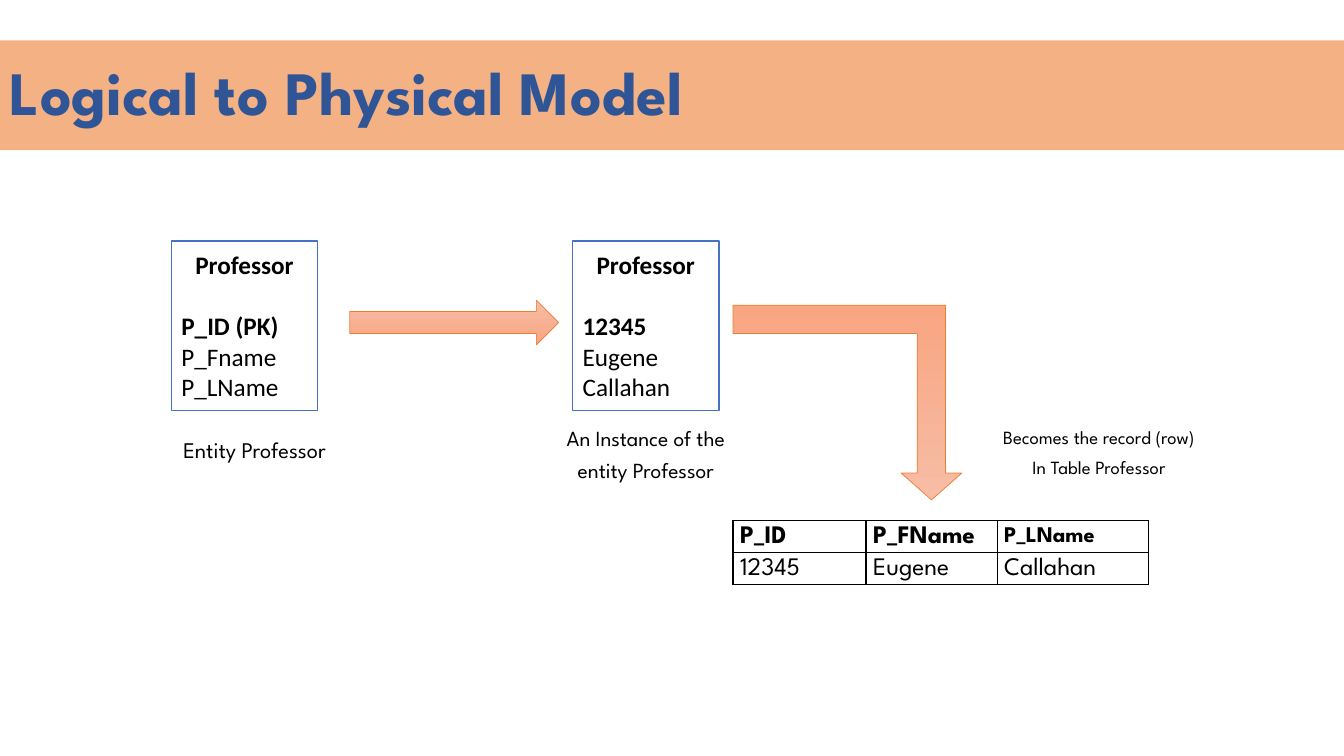
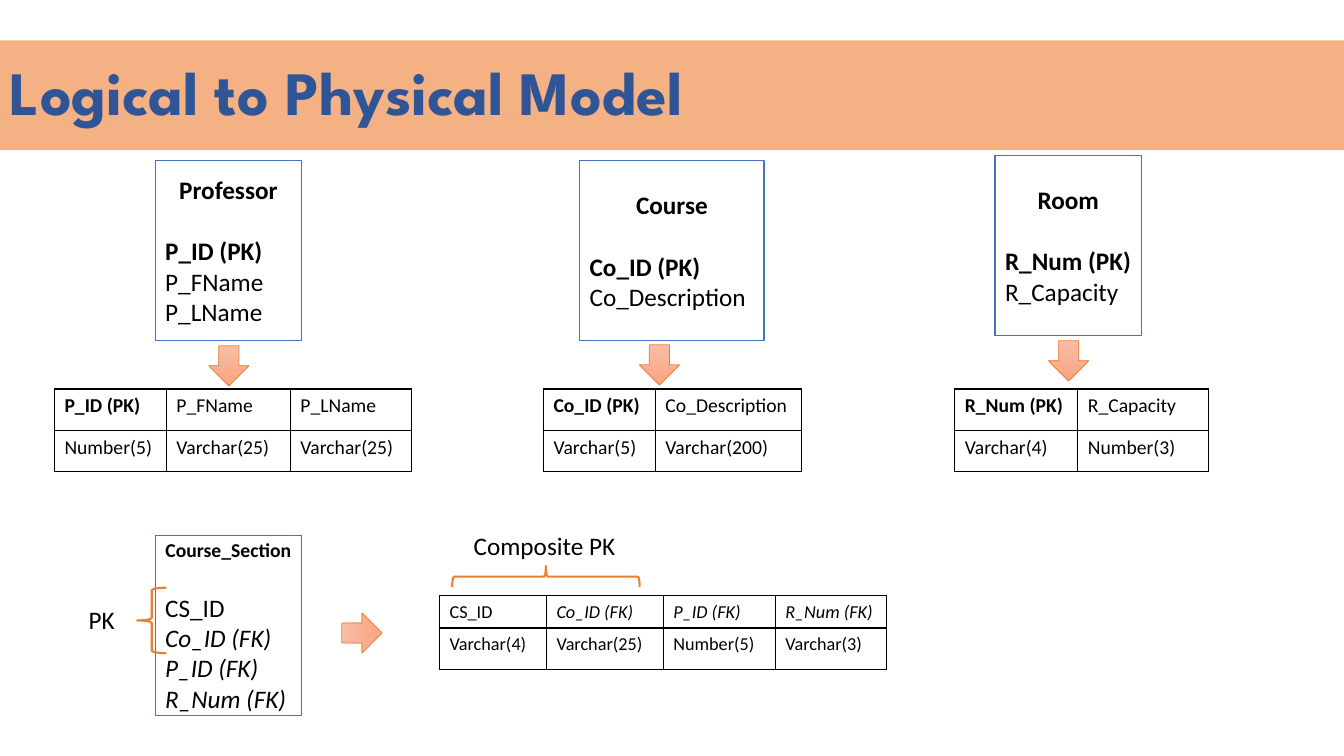
"""Build two slides that map a logical model to a physical one."""
from lxml import etree
from pptx import Presentation
from pptx.dml.color import RGBColor
from pptx.enum import shapes, text
from pptx.oxml.ns import qn
from pptx.util import Inches, Pt

HUES = {"band": "F4B183", "title": "2F5597", "ink": "000000", "paper": "FFFFFF",
        "edge": "4472C4", "rim": "ED7D31", "light": "F7BDA5", "deep": "F8A582"}
SPARTAN, PLAIN = "League Spartan", "Calibri"
FORM = shapes.MSO_SHAPE
LEFT, CENTER = text.PP_ALIGN.LEFT, text.PP_ALIGN.CENTER
MIDDLE = text.MSO_ANCHOR.MIDDLE


def write(frame, lines, font, size, align=LEFT, pitch=None, gap=0, hue="ink"):
    """Fill a frame; a leading * marks a bold line and a leading / an italic one."""
    frame.word_wrap = True
    frame.text = "\n".join(line.lstrip("*/") for line in lines)
    for spot, (par, line) in enumerate(zip(frame.paragraphs, lines)):
        par.alignment = align
        par.line_spacing = pitch
        if spot and gap:
            par.space_before = Pt(gap)
        face = par.runs[0].font
        face.name, face.size = font, Pt(size)
        face.bold, face.italic = line.startswith("*"), line.startswith("/")
        face.color.rgb = RGBColor.from_string(HUES[hue])


def draw(slide, kind, box, fill=None, line=None, width=1):
    """Add a preset shape with a plain fill, a line, or neither."""
    shape = slide.shapes.add_shape(kind, *map(Inches, box))
    shape.shadow.inherit = False
    if fill:
        shape.fill.solid()
        shape.fill.fore_color.rgb = RGBColor.from_string(HUES[fill])
    else:
        shape.fill.background()
    if line:
        shape.line.color.rgb = RGBColor.from_string(HUES[line])
        shape.line.width = Pt(width)
    else:
        shape.line.fill.background()
    return shape


deck = Presentation()
deck.slide_width, deck.slide_height = Inches(13.33), Inches(7.5)
slides = [deck.slides.add_slide(deck.slide_layouts[6]) for _ in range(2)]
first, second = slides

for slide in slides:
    band = draw(slide, FORM.RECTANGLE, (0, 0.4, 13.33, 1.09), "band")
    band.text_frame.vertical_anchor = MIDDLE
    write(band.text_frame, ["*Logical to Physical Model"], SPARTAN, 44, pitch=0.9, hue="title")

models = [
    (first, (1.7, 2.39, 1.45, 1.68), 18, ["*Professor", "*P_ID (PK)", "P_Fname", "P_LName"]),
    (first, (5.68, 2.39, 1.45, 1.68), 18, ["*Professor", "*12345", "Eugene", "Callahan"]),
    (second, (1.54, 1.59, 1.45, 1.79), 18, ["*Professor", "*P_ID (PK)", "P_FName", "P_LName"]),
    (second, (1.54, 5.31, 1.45, 1.79), 14,
     ["*Course_Section", "CS_ID", "/Co_ID (FK)", "/P_ID (FK)", "/R_Num (FK)"]),
    (second, (5.75, 1.59, 1.83, 1.79), 18, ["*Course", "*Co_ID (PK)", "Co_Description"]),
    (second, (9.87, 1.54, 1.45, 1.79), 18, ["*Room", "*R_Num (PK)", "R_Capacity"]),
]
for slide, box, size, lines in models:
    card = draw(slide, FORM.RECTANGLE, box, "paper", "edge")
    card.text_frame.vertical_anchor = MIDDLE
    write(card.text_frame, lines, PLAIN, 18)
    head = card.text_frame.paragraphs[0]
    head.alignment = CENTER
    head.space_after = Pt(22)
    head.runs[0].font.size = Pt(size)

arrows = [
    (first, FORM.BENT_UP_ARROW, (7.27, 3.03, 2.27, 1.93), 0),
    (first, FORM.RIGHT_ARROW, (3.47, 2.98, 2.07, 0.44), 0),
    (second, FORM.DOWN_ARROW, (2.07, 3.43, 0.4, 0.4), 0),
    (second, FORM.DOWN_ARROW, (6.34, 3.42, 0.4, 0.4), 0),
    (second, FORM.DOWN_ARROW, (10.4, 3.38, 0.4, 0.4), 0),
    (second, FORM.DOWN_ARROW, (3.39, 6.08, 0.4, 0.4), 270),
]
for slide, kind, box, turn in arrows:
    arrow = draw(slide, kind, box, line="rim", width=0.5)
    arrow.rotation = turn
    arrow.fill.gradient()
    arrow.fill.gradient_angle = 270
    for stop, hue in zip(arrow.fill.gradient_stops, ("light", "deep")):
        stop.color.rgb = RGBColor.from_string(HUES[hue])
    if kind == FORM.BENT_UP_ARROW:
        arrow._element.spPr.xfrm.set("flipV", "1")
        for spot, value in enumerate((0.145, 0.156, 0.138)):
            arrow.adjustments[spot] = value

for box, turn in (((5.31, 4.79, 0.21, 1.86), 270), ((1.36, 5.83, 0.29, 0.65), 180)):
    brace = draw(second, FORM.RIGHT_BRACE, box, line="rim", width=1.5)
    brace.rotation = turn

notes = [
    (first, (5.33, 4.24, 2.15, 0.63), ["An Instance of the", "entity Professor"],
     SPARTAN, 15.4, CENTER, 0.7),
    (first, (1.49, 4.33, 2.07, 0.31), ["Entity Professor"], SPARTAN, 16, CENTER, 0.8),
    (first, (9.54, 4.24, 2.72, 0.63), ["Becomes the record (row)", "In Table Professor"],
     SPARTAN, 13.3, CENTER, 0.7),
    (second, (4.6, 5.21, 1.7, 0.4), ["Composite PK"], PLAIN, 18, LEFT, None),
    (second, (0.78, 5.95, 0.56, 0.4), ["PK"], PLAIN, 18, LEFT, None),
]
for slide, box, lines, font, size, align, pitch in notes:
    note = slide.shapes.add_textbox(*map(Inches, box))
    write(note.text_frame, lines, font, size, align, pitch, gap=10)

tables = [
    (first, 7.27, 5.16, (1.32, 1.3, 1.5), (0.25, 0.25), SPARTAN, 18,
     [["*P_ID", "*P_FName", "*P_LName"], ["12345", "Eugene", "Callahan"]]),
    (second, 0.54, 3.86, (1.11, 1.23, 1.2), (0.41, 0.41), PLAIN, 14,
     [["*P_ID (PK)", "P_FName", "P_LName"], ["Number(5)", "Varchar(25)", "Varchar(25)"]]),
    (second, 5.39, 3.86, (1.11, 1.45), (0.41, 0.41), PLAIN, 14,
     [["*Co_ID (PK)", "Co_Description"], ["Varchar(5)", "Varchar(200)"]]),
    (second, 9.47, 3.86, (1.22, 1.3), (0.41, 0.41), PLAIN, 14,
     [["*R_Num (PK)", "R_Capacity"], ["Varchar(4)", "Number(3)"]]),
    (second, 4.36, 5.91, (1.06, 1.16, 1.11, 1.1), (0.32, 0.41), PLAIN, 13,
     [["CS_ID", "/Co_ID (FK)", "/P_ID (FK)", "/R_Num (FK)"],
      ["Varchar(4)", "Varchar(25)", "Number(5)", "Varchar(3)"]]),
]
grids = []
for slide, left, top, wides, highs, font, size, rows in tables:
    box = map(Inches, (left, top, sum(wides), sum(highs)))
    grid = slide.shapes.add_table(len(rows), len(wides), *box).table
    grid.first_row = grid.horz_banding = False
    for col, wide in zip(grid.columns, wides):
        col.width = Inches(wide)
    for row, high, words in zip(grid.rows, highs, rows):
        row.height = Inches(high)
        for cell, word in zip(row.cells, words):
            tight = font == SPARTAN
            write(cell.text_frame, [word], font, size, pitch=1.07 if tight else None)
            if tight:
                cell.vertical_anchor = MIDDLE
                cell.margin_left = cell.margin_right = Inches(0.07)
                cell.margin_top = cell.margin_bottom = 0
            props = cell._tc.get_or_add_tcPr()
            for side in ("a:lnL", "a:lnR", "a:lnT", "a:lnB"):
                rule = etree.SubElement(props, qn(side), w=str(Pt(1)))
                paint = etree.SubElement(rule, qn("a:solidFill"))
                etree.SubElement(paint, qn("a:srgbClr"), val=HUES["ink"])
            cell.fill.background()
    grids.append(grid)
grids[0].cell(0, 2).text_frame.paragraphs[0].runs[0].font.size = Pt(16)

deck.save("out.pptx")
